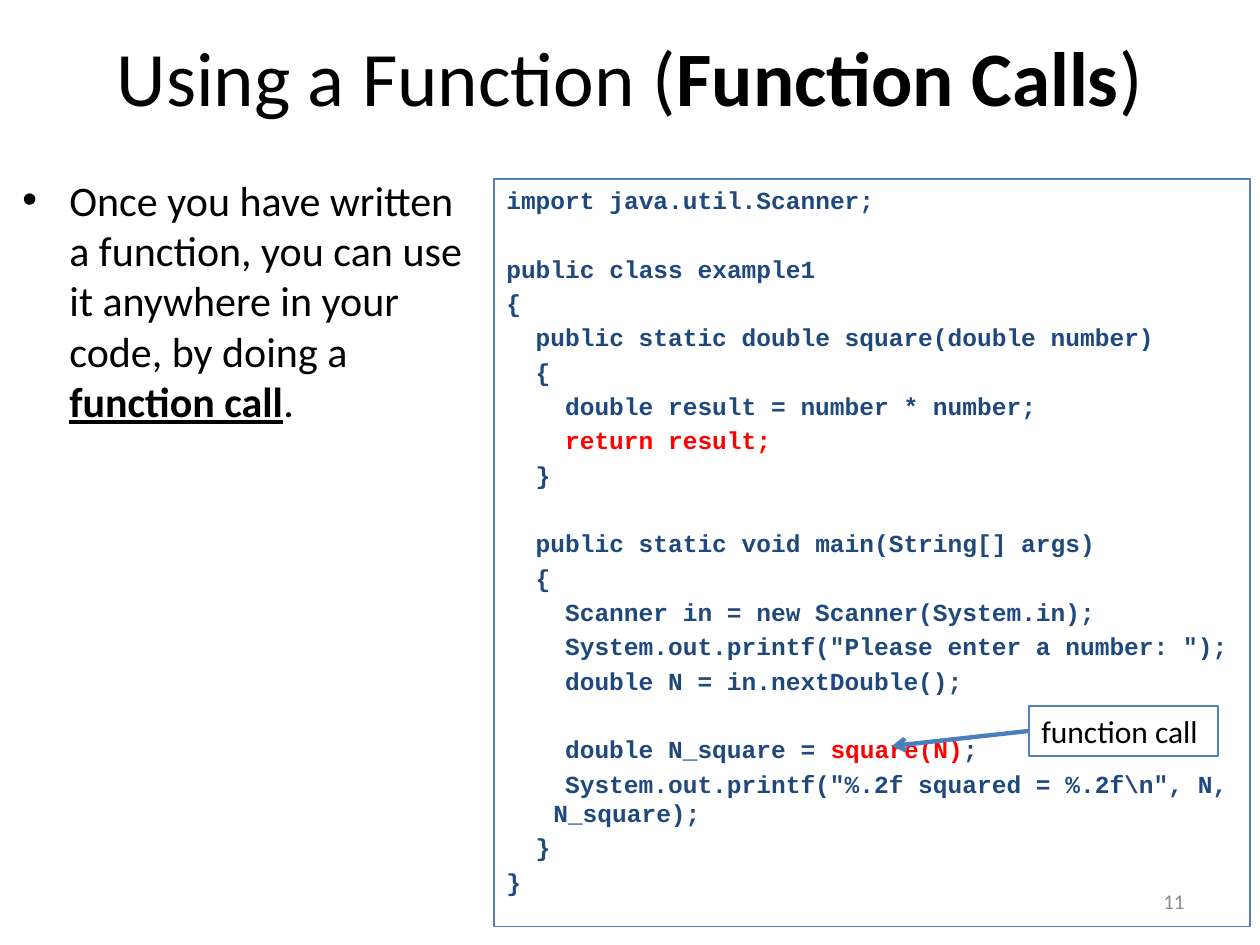
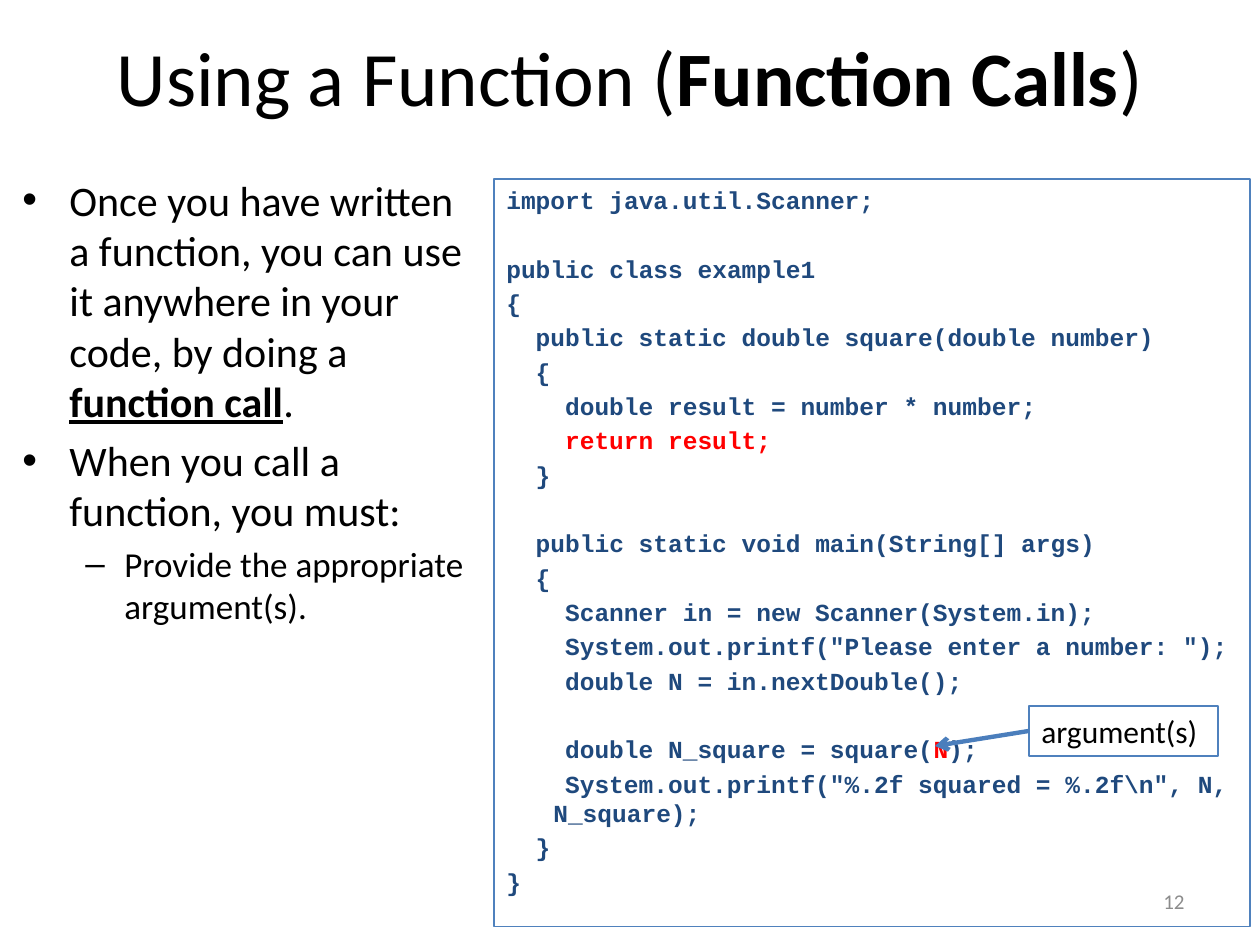
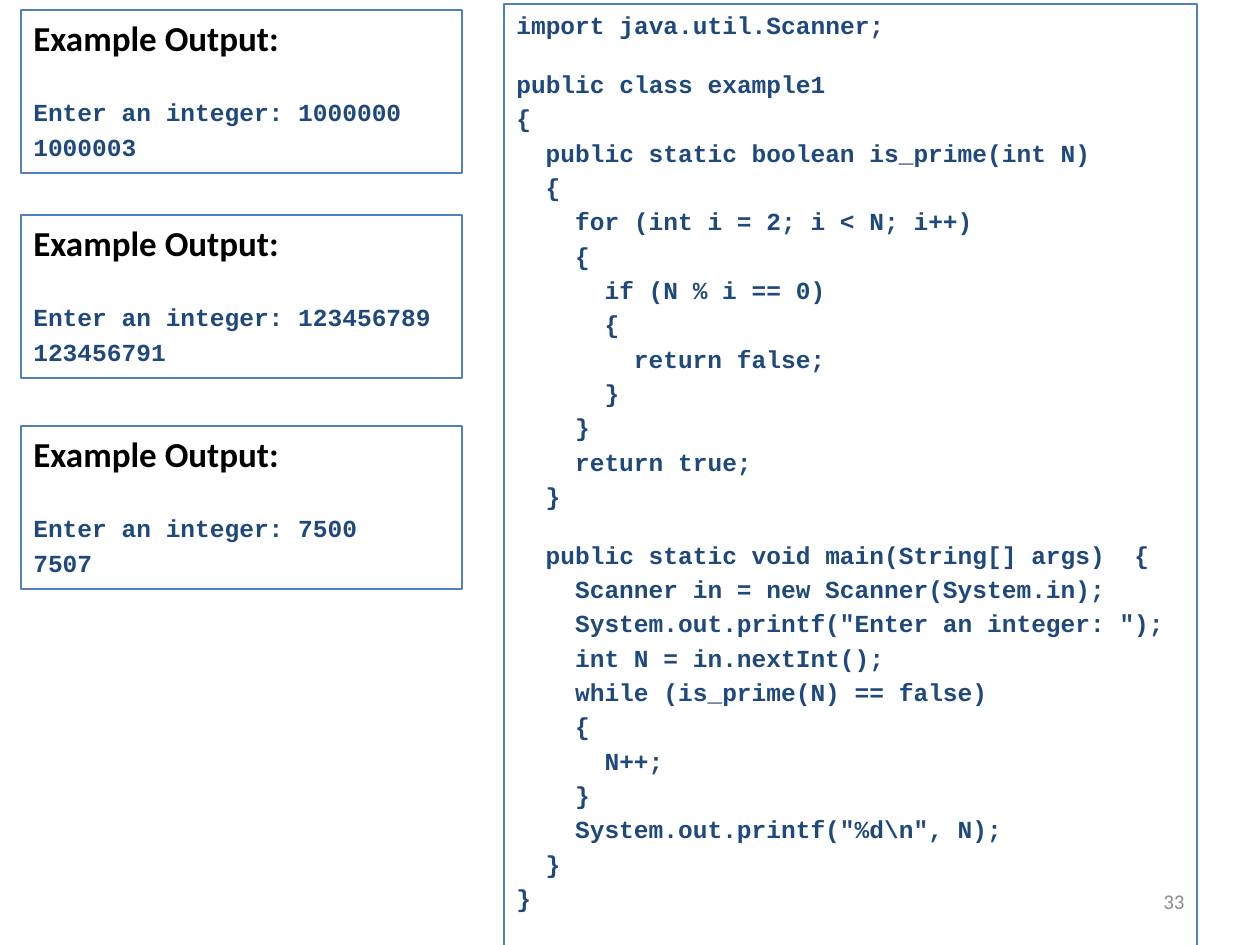
from dataclasses import dataclass

from lxml import etree
from pptx import Presentation
from pptx import util as u
from pptx.dml.color import RGBColor
from pptx.enum import shapes, text
from pptx.oxml.ns import qn

PX = 914400 // 126
BLACK, GREY, NAVY, RED = "000000", "8C8C8C", "1F497D", "FF0000"
EDGE, ARROW = "4F81BD", "4B7EBC"
SANS, MONO = "Calibri", "Courier New"
HANG = 47  # hanging indent of bullets and wrapped code
TAB = u.Pt(16.8)  # width of two code characters


@dataclass(frozen=True)
class Box:
    x: int
    y: int
    w: int
    h: int

    def emu(self) -> list[int]:
        return [v * PX for v in (self.x, self.y, self.w, self.h)]


@dataclass(frozen=True)
class Style:
    size: int
    font: str = SANS
    color: str = BLACK
    bold: bool = False
    line: bool = False


@dataclass(frozen=True)
class Call:
    """A slide that explains one part of a function call."""
    num: int
    code: str
    label: str
    tip: int
    points: tuple[tuple[int, str], ...]


TITLE = Style(44)
TITLE_HOT = Style(44, bold=True)
CODE = Style(14, MONO, NAVY, True)
CODE_HOT = Style(14, MONO, RED, True)
HEAD = Style(20, bold=True)
BULLETS = (("•", HANG, -HANG, 24), ("–", 102, -39, 20))

# Backticks enclose the emphasised parts of a text.
SQUARE = r"""import java.util.Scanner;

public class example1
{
  public static double square(double number)
  {
    double result = number * number;
    `return result;`
  }

  public static void main(String[] args)
  {
    Scanner in = new Scanner(System.in);
    System.out.printf("Please enter a number: ");
    double N = in.nextDouble();

    double N_square = @call;
    System.out.printf("%.2f squared = %.2f\n", N, N_square);
  }
}"""

PRIME = r"""import java.util.Scanner;

public class example1
{
  public static boolean is_prime(int N)
  {
    for (int i = 2; i < N; i++)
    {
      if (N % i == 0)
      {
        return false;
      }
    }
    return true;
  }

  public static void main(String[] args)  {
    Scanner in = new Scanner(System.in);
    System.out.printf("Enter an integer: ");
    int N = in.nextInt();
    while (is_prime(N) == false)
    {
      N++;
    }
    System.out.printf("%d\n", N);
  }
}"""

ONCE = (0, "Once you have written a function, you can use it anywhere "
           "in your code, by doing a `function call`.")
CALLS = (
    Call(11, "`square(N)`", "function call", 892, (ONCE,)),
    Call(12, "square(`N`)", "argument(s)", 935, (
        ONCE,
        (0, "When you call a function, you must:"),
        (1, "Provide the appropriate argument(s)."))),
)
RUNS = ((10, "1000000", "1000003"),
        (215, "123456789", "123456791"),
        (426, "7500", "7507"))


def rgb(color: str) -> RGBColor:
    return RGBColor.from_string(color)


def write(para, words: str, base: Style, hot: Style | None = None) -> None:
    """Write words, giving the parts between backticks the hot style."""
    for i, part in enumerate(words.split("`")):
        if not part:
            continue
        run = para.add_run()
        run.text = part
        style = hot if i % 2 and hot else base
        font = run.font
        font.size, font.name = u.Pt(style.size), style.font
        font.bold, font.underline = style.bold, style.line
        font.color.rgb = rgb(style.color)


def space(para, size: int, left: int, first: int, gap: float = 0) -> None:
    """Set the indents and a lead of a fifth of the size plus a gap in points."""
    para.space_before = u.Pt(size * 0.2 + gap)
    props = para._p.get_or_add_pPr()
    props.set("marL", str(left))
    props.set("indent", str(first))


def label(slide, box: Box, align=text.PP_ALIGN.LEFT, anchor=text.MSO_ANCHOR.TOP):
    frame = slide.shapes.add_textbox(*box.emu()).text_frame
    frame.word_wrap = True
    frame.vertical_anchor = anchor
    frame.paragraphs[0].alignment = align
    return frame


def panel(slide, box: Box):
    """Draw an outlined rectangle for text set from its top left."""
    shape = slide.shapes.add_shape(shapes.MSO_SHAPE.RECTANGLE, *box.emu())
    shape.shadow.inherit = False
    shape.fill.background()
    shape.line.color.rgb = rgb(EDGE)
    shape.line.width = u.Pt(0.75)
    frame = shape.text_frame
    frame.word_wrap = True
    frame.vertical_anchor = text.MSO_ANCHOR.TOP
    frame.paragraphs[0].alignment = text.PP_ALIGN.LEFT
    return shape


def next_para(frame):
    """Return the first paragraph while it is empty, else a new one."""
    first = frame.paragraphs[0]
    para = first if not first.runs else frame.add_paragraph()
    para.alignment = text.PP_ALIGN.LEFT
    return para


def list_code(frame, code: str, blank: int = 14) -> None:
    """Set code lines; a blank line becomes space above the next one."""
    gap = 0.0
    for line in code.splitlines():
        body = line.lstrip()
        if not body:
            gap = blank * 1.4
            continue
        depth = (len(line) - len(body)) // 2
        para = next_para(frame)
        space(para, 14, HANG * PX, depth * TAB - HANG * PX, gap)
        write(para, body, CODE, CODE_HOT)
        gap = 0.0


def list_points(frame, points: tuple[tuple[int, str], ...]) -> None:
    for level, words in points:
        mark, left, first, size = BULLETS[level]
        para = next_para(frame)
        para.level = level
        space(para, size, left * PX, first * PX)
        props = para._p.get_or_add_pPr()
        etree.SubElement(props, qn("a:buFont"), typeface="Arial")
        etree.SubElement(props, qn("a:buChar"), char=mark)
        write(para, words, Style(size), Style(size, bold=True, line=True))


def number(slide, num: int) -> None:
    frame = label(slide, Box(903, 876, 294, 50),
                  text.PP_ALIGN.RIGHT, text.MSO_ANCHOR.MIDDLE)
    write(frame.paragraphs[0], str(num), Style(12, color=GREY))


def point(slide, note, box: Box, tip: int) -> None:
    """Draw an arrow from the left side of a note to the called code."""
    link = slide.shapes.add_connector(
        shapes.MSO_CONNECTOR.STRAIGHT,
        box.x * PX, (box.y + box.h // 2) * PX, tip * PX, 746 * PX)
    link.begin_connect(note, 1)
    link.line.color.rgb = rgb(ARROW)
    link.line.width = u.Pt(2.5)
    etree.SubElement(link.line._get_or_add_ln(), qn("a:tailEnd"), type="arrow")
    etree.SubElement(link._element.spPr, qn("a:effectLst"))


def call_slide(slide, call: Call) -> None:
    title = label(slide, Box(63, 16, 1134, 120),
                  text.PP_ALIGN.CENTER, text.MSO_ANCHOR.MIDDLE)
    write(title.paragraphs[0], "Using a Function (`Function Calls`)",
          TITLE, TITLE_HOT)
    list_points(label(slide, Box(10, 168, 472, 748)), call.points)
    number(slide, call.num)
    code = panel(slide, Box(494, 179, 756, 748))
    list_code(code.text_frame, SQUARE.replace("@call", call.code))
    box = Box(1029, 706, 189, 50)
    note = panel(slide, box)
    write(note.text_frame.paragraphs[0], call.label, Style(18))
    point(slide, note, box, call.tip)


def prime_slide(slide) -> None:
    number(slide, 33)
    code = panel(slide, Box(504, 4, 693, 942))
    list_code(code.text_frame, PRIME, blank=10)
    for top, given, found in RUNS:
        frame = panel(slide, Box(21, top, 441, 163)).text_frame
        head = next_para(frame)
        space(head, HEAD.size, HANG * PX, -HANG * PX)
        write(head, "Example Output:", HEAD)
        list_code(frame, f"\nEnter an integer: {given}\n{found}")


def main() -> None:
    deck = Presentation()
    deck.slide_width, deck.slide_height = u.Inches(10), u.Inches(7.5)
    blank = deck.slide_layouts[6]
    for call in CALLS:
        call_slide(deck.slides.add_slide(blank), call)
    prime_slide(deck.slides.add_slide(blank))
    deck.save("out.pptx")


if __name__ == "__main__":
    main()
